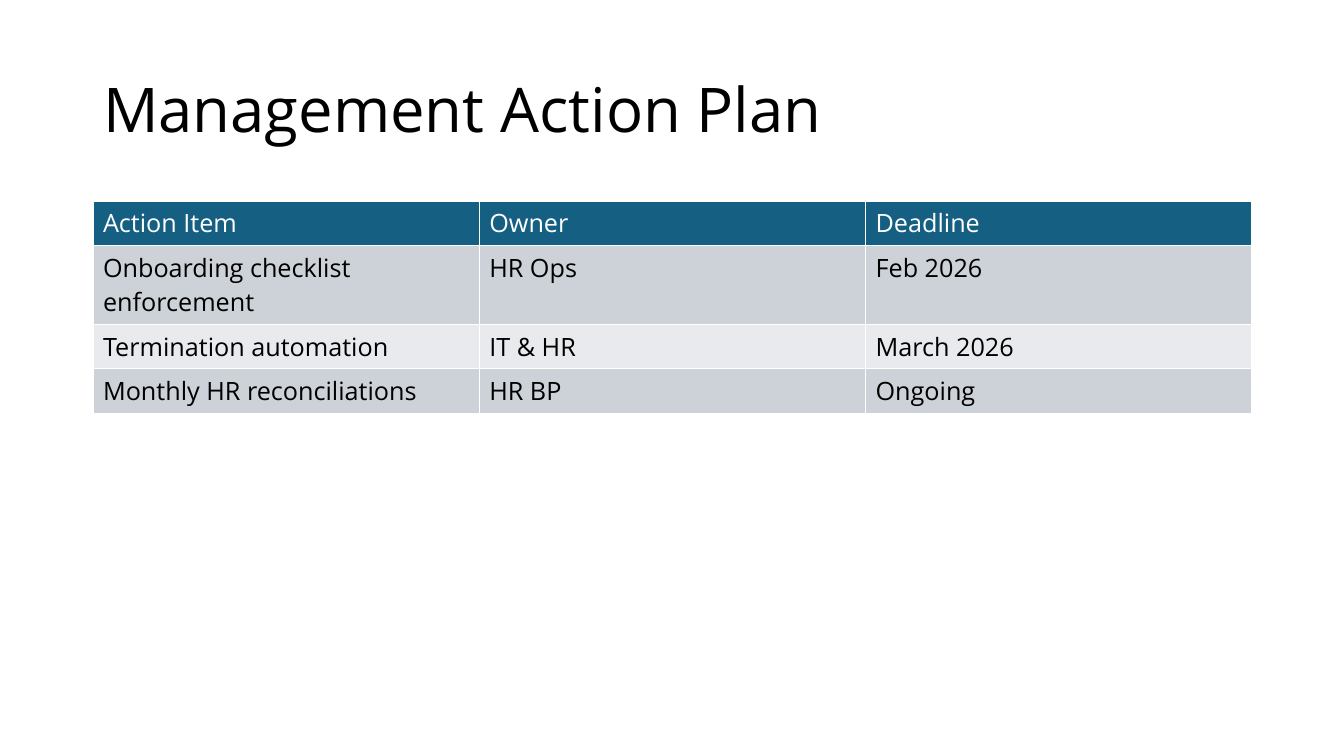
from pptx import Presentation
from pptx.dml.color import RGBColor
from pptx.enum.text import MSO_ANCHOR, PP_ALIGN
from pptx.util import Pt

SCALE = 914400 / 100.8
FONT = "Open Sans"
HEADER_FILL = "156082"
BAND_FILLS = ["CCD2D8", "E8EAED"]
ACTIONS = [
    ["Action Item", "Owner", "Deadline"],
    ["Onboarding checklist enforcement", "HR Ops", "Feb 2026"],
    ["Termination automation", "IT & HR", "March 2026"],
    ["Monthly HR reconciliations", "HR BP", "Ongoing"],
]
ROW_HEIGHTS = [44, 79, 44, 44]


def px(length):
    return round(length * SCALE)


def color(value):
    return RGBColor.from_string(value)


def write(frame, text, size=18, ink="000000", spacing=None):
    para = frame.paragraphs[0]
    para.alignment = PP_ALIGN.LEFT
    if spacing:
        para.line_spacing = spacing
    span = para.add_run()
    span.text = text
    span.font.name = FONT
    span.font.size = Pt(size)
    span.font.bold = False
    span.font.color.rgb = color(ink)


def place_title(page, box, text):
    title = page.shapes.title
    title.left, title.top, title.width, title.height = map(px, box)
    title.text_frame.word_wrap = True
    title.text_frame.vertical_anchor = MSO_ANCHOR.MIDDLE
    write(title.text_frame, text, size=44, spacing=0.9)


def place_actions(page, box):
    frame = page.shapes.add_table(len(ACTIONS), len(ACTIONS[0]), *map(px, box))
    table = frame.table
    for column in table.columns:
        column.width = px(box[2] / len(ACTIONS[0]))
    for index, (row, texts) in enumerate(zip(table.rows, ACTIONS)):
        row.height = px(ROW_HEIGHTS[index])
        header = index == 0
        fill = HEADER_FILL if header else BAND_FILLS[(index - 1) % 2]
        for cell, text in zip(row.cells, texts):
            cell.fill.solid()
            cell.fill.fore_color.rgb = color(fill)
            write(cell.text_frame, text, ink="FFFFFF" if header else "000000")


def main():
    deck = Presentation()
    deck.slide_width, deck.slide_height = px(1344), px(756)
    page = deck.slides.add_slide(deck.slide_layouts[5])
    place_title(page, (93, 40, 1159, 146), "Management Action Plan")
    place_actions(page, (93, 201, 1159, sum(ROW_HEIGHTS)))
    deck.save("out.pptx")


if __name__ == "__main__":
    main()
